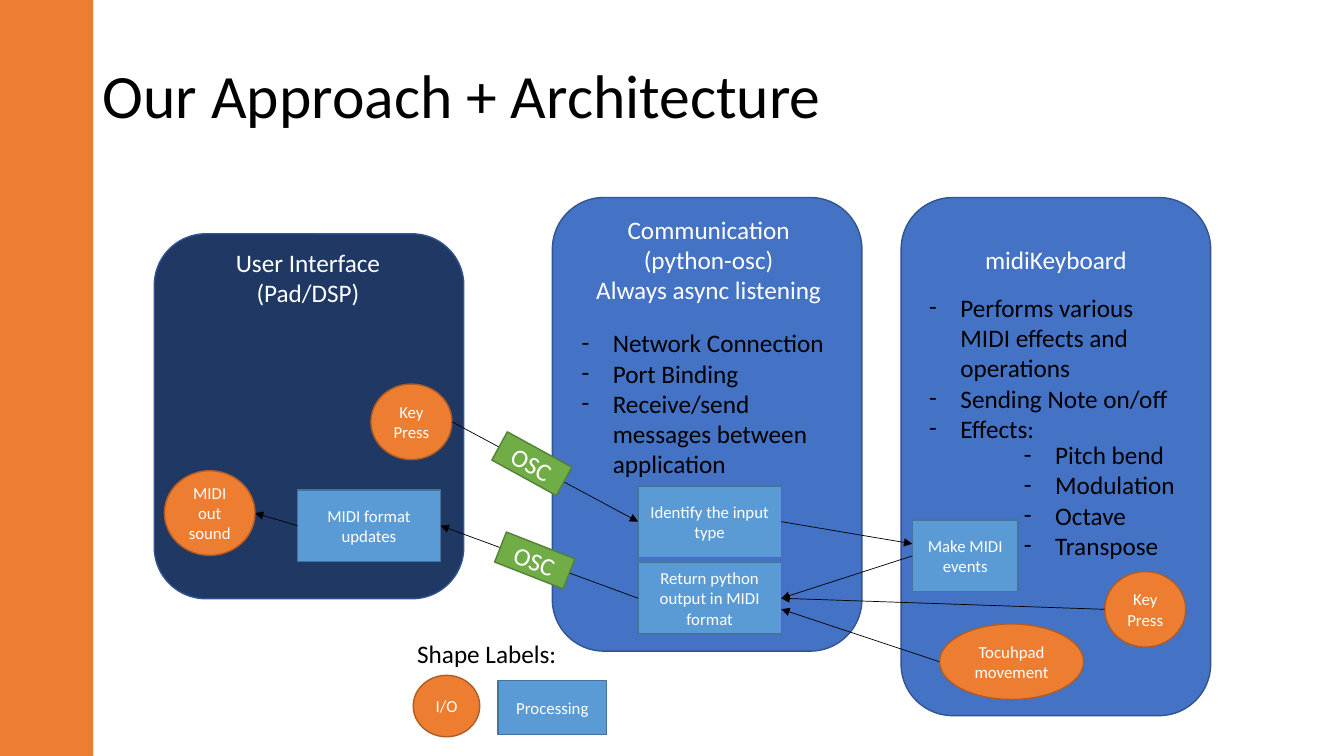
from lxml import etree
from pptx import Presentation
from pptx.dml.color import RGBColor
from pptx.enum.shapes import MSO_CONNECTOR, MSO_SHAPE
from pptx.enum.text import MSO_ANCHOR, MSO_AUTO_SIZE, PP_ALIGN
from pptx.oxml.ns import qn
from pptx.util import Inches, Pt

RECT, OVAL, ROUNDED = MSO_SHAPE.RECTANGLE, MSO_SHAPE.OVAL, MSO_SHAPE.ROUNDED_RECTANGLE
STRAIGHT = MSO_CONNECTOR.STRAIGHT
LEFT, CENTER = PP_ALIGN.LEFT, PP_ALIGN.CENTER
TOP, MIDDLE = MSO_ANCHOR.TOP, MSO_ANCHOR.MIDDLE
GROW, FIXED = MSO_AUTO_SIZE.SHAPE_TO_FIT_TEXT, MSO_AUTO_SIZE.NONE

# Content: every place is left, top, width, height in percent of the slide
TITLE = "Our Approach + Architecture"
TITLE_PLACE = (6.9, 5.33, 86.25, 15.33)
SIDEBAR_PLACE = (0, 0, 6.93, 100)
ORANGE, BLUE, NAVY = "ED7D31", "4472C4", "203864"
BLACK, WHITE = "000000", "FFFFFF"
PANEL_LINE = "325491"
PANEL_WIDTH = 23.03

# Panel left, top, height, fill, heading place, heading lines
PANELS = [
    (67.05, 26.13, 68.53, BLUE, (69.9, 27.6, 17.33, 13.47), ["midiKeyboard"]),
    (41.1, 26.13, 60, BLUE, (42.83, 27.6, 19.8, 13.47),
     ["Communication (python-osc)", "Always async listening"]),
    (11.48, 30.93, 48.27, NAVY, (14.25, 32.27, 17.33, 8.8),
     ["User Interface\n(Pad/DSP)"]),
]
LISTS = [
    ((42.53, 42.67, 20.1, 21.6),
     ["Network Connection", "Port Binding",
      "Receive/send messages between application"]),
    ((68.4, 38, 20.18, 21.6),
     ["Performs various MIDI effects and operations",
      "Sending Note on/off", "Effects:"]),
    ((75.45, 57.47, 13.73, 17.47),
     ["Pitch bend", "Modulation", "Octave", "Transpose"]),
]
LEGEND_TITLE, LEGEND_PLACE = "Shape Labels:", (30.3, 83.73, 12, 5.33)

# Kind of node: preset, fill, line
KINDS = {"io": (OVAL, ORANGE, "AF5C24"), "processing": (RECT, "5B9BD5", "43739E")}
NODES = {
    "key": ("io", "Key Press", (27.6, 50.8, 6.03, 10)),
    "sound": ("io", "MIDI out sound", (12.23, 62.27, 6.75, 11.2)),
    "touchpad": ("io", "Tocuhpad movement", (69.9, 82.53, 10.73, 10)),
    "piano key": ("io", "Key Press", (82.2, 75.6, 6.03, 10)),
    "updates": ("processing", "MIDI format updates", (22.13, 64.8, 10.65, 9.47)),
    "identify": ("processing", "Identify the input type", (47.48, 64.27, 10.65, 9.47)),
    "return": ("processing", "Return python output in MIDI format",
               (47.48, 74.4, 10.65, 9.47)),
    "events": ("processing", "Make MIDI events", (67.88, 68.8, 7.88, 9.47)),
    "legend io": ("io", "I/O", (30.75, 89.33, 4.95, 8.13)),
    "legend processing": ("processing", "Processing", (37.05, 90, 8.1, 7.2)),
}
# Start node, side, end node, side, shift of the end below the side's middle
LEFT_SIDE, RIGHT_SIDE = 1, 3
ARROWS = [
    ("key", RIGHT_SIDE, "identify", LEFT_SIDE, 0),
    ("identify", RIGHT_SIDE, "events", LEFT_SIDE, -1.6),
    ("updates", LEFT_SIDE, "sound", RIGHT_SIDE, 0),
    ("events", LEFT_SIDE, "return", RIGHT_SIDE, 0),
    ("return", LEFT_SIDE, "updates", RIGHT_SIDE, 0),
    ("piano key", LEFT_SIDE, "return", RIGHT_SIDE, 0),
    ("touchpad", LEFT_SIDE, "return", RIGHT_SIDE, 1.45),
]
# Place and rotation of each protocol tag
TAGS = [((36.83, 59.2, 5.48, 4.27), 28.8), ((37.05, 72, 5.48, 4.27), 21.4)]

deck = Presentation()
deck.slide_width, deck.slide_height = Inches(13.33), Inches(7.5)
page = deck.slides.add_slide(deck.slide_layouts[5])


def color(hex_text):
    return RGBColor.from_string(hex_text)


def across(share):
    return round(deck.slide_width * share / 100)


def down(share):
    return round(deck.slide_height * share / 100)


def spot(place):
    left, top, width, height = place
    return across(left), down(top), across(width), down(height)


def write(box, lines, size=18, ink=WHITE, align=CENTER, anchor=MIDDLE,
          wrap=True, fit=FIXED, bullet=None, spacing=None):
    frame = box.text_frame
    frame.word_wrap, frame.auto_size, frame.vertical_anchor = wrap, fit, anchor
    for index, line in enumerate(lines):
        para = frame.add_paragraph() if index else frame.paragraphs[0]
        para.text = line
        para.alignment = align
        if spacing:
            para.line_spacing = spacing
        if bullet:
            props = para._p.get_or_add_pPr()
            props.set("marL", str(Inches(0.31)))
            props.set("indent", str(-Inches(0.31)))
            etree.SubElement(props, qn("a:buFont")).set("typeface", "Calibri")
            etree.SubElement(props, qn("a:buChar")).set("char", bullet)
        for span in para.runs:
            span.font.name, span.font.size = "Calibri", Pt(size)
            span.font.color.rgb = color(ink)


def draw(preset, place, fill, line=None):
    box = page.shapes.add_shape(preset, *spot(place))
    box.shadow.inherit = False
    box.fill.solid()
    box.fill.fore_color.rgb = color(fill)
    if line:
        box.line.color.rgb = color(line)
        box.line.width = Pt(1)
    else:
        box.line.fill.background()
    return box


def side_middle(name, side):
    left, top, width, height = NODES[name][2]
    return left + (width if side == RIGHT_SIDE else 0), top + height / 2


# Sidebar and title
draw(RECT, SIDEBAR_PLACE, ORANGE)
title = page.shapes.title
title.left, title.top, title.width, title.height = spot(TITLE_PLACE)
write(title, [TITLE], size=44, ink=BLACK, align=LEFT, spacing=0.9)

# Panels with headings
for left, top, height, fill, heading_place, heading in PANELS:
    draw(ROUNDED, (left, top, PANEL_WIDTH, height), fill, PANEL_LINE)
    write(draw(RECT, heading_place, fill), heading)

# Dashed lists and legend title
for place, items in LISTS:
    write(page.shapes.add_textbox(*spot(place)), items, ink=BLACK, align=LEFT,
          anchor=TOP, fit=GROW, bullet="-")
write(page.shapes.add_textbox(*spot(LEGEND_PLACE)), [LEGEND_TITLE], ink=BLACK,
      align=LEFT, anchor=TOP, wrap=False, fit=GROW)

# Nodes
boxes = {}
for name, (kind, label, place) in NODES.items():
    preset, fill, line = KINDS[kind]
    boxes[name] = draw(preset, place, fill, line)
    write(boxes[name], [label], size=12)

# Arrows, joined wherever they meet the middle of a rectangle's side
for start, start_side, end, end_side, shift in ARROWS:
    start_x, start_y = side_middle(start, start_side)
    end_x, end_y = side_middle(end, end_side)
    arrow = page.shapes.add_connector(STRAIGHT, across(start_x), down(start_y),
                                      across(end_x), down(end_y + shift))
    if NODES[start][0] == "processing":
        arrow.begin_connect(boxes[start], start_side)
    if NODES[end][0] == "processing" and not shift:
        arrow.end_connect(boxes[end], end_side)
    arrow.line.color.rgb = color(BLACK)
    arrow.line.width = Pt(0.5)
    etree.SubElement(arrow.line._get_or_add_ln(), qn("a:tailEnd")).set("type", "triangle")
    etree.SubElement(arrow._element.spPr, qn("a:effectLst"))

# Protocol tags over the arrows
for place, angle in TAGS:
    tag = draw(RECT, place, "70AD47", "538035")
    tag.rotation = angle
    write(tag, ["OSC"])

deck.save("out.pptx")
